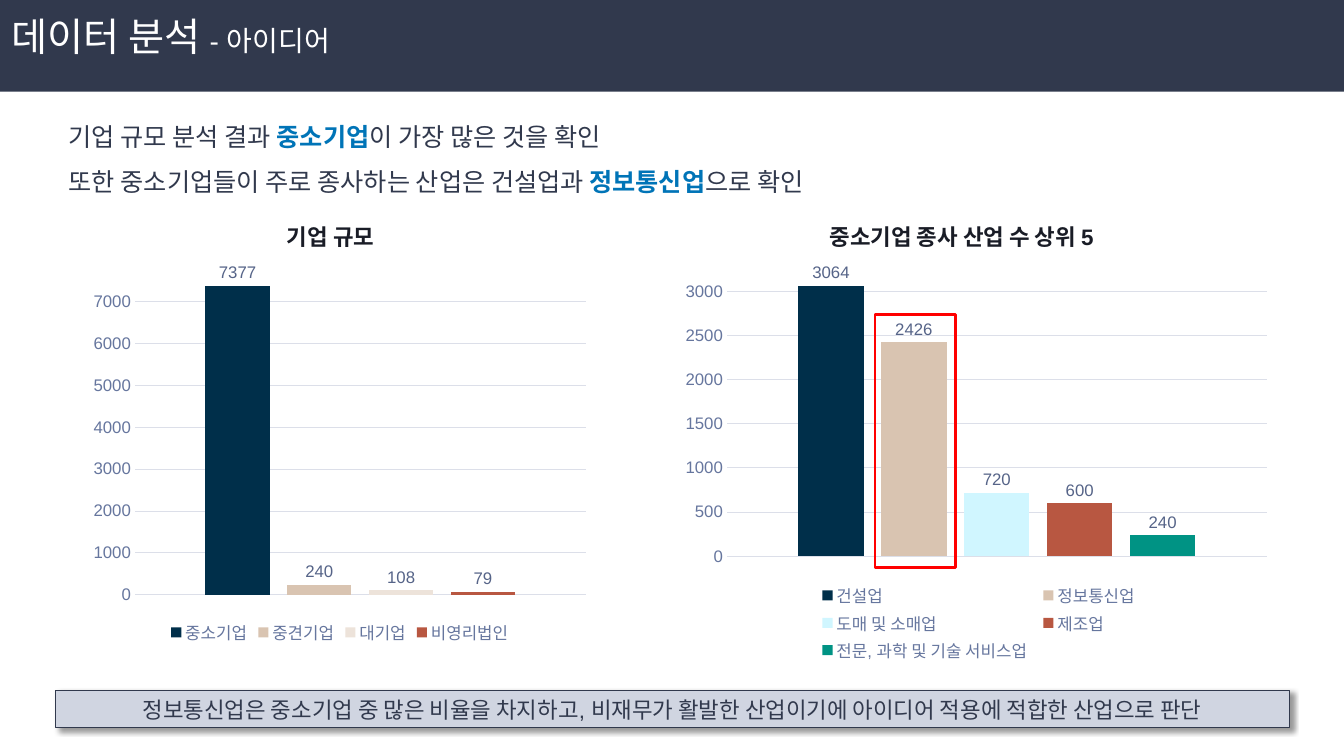
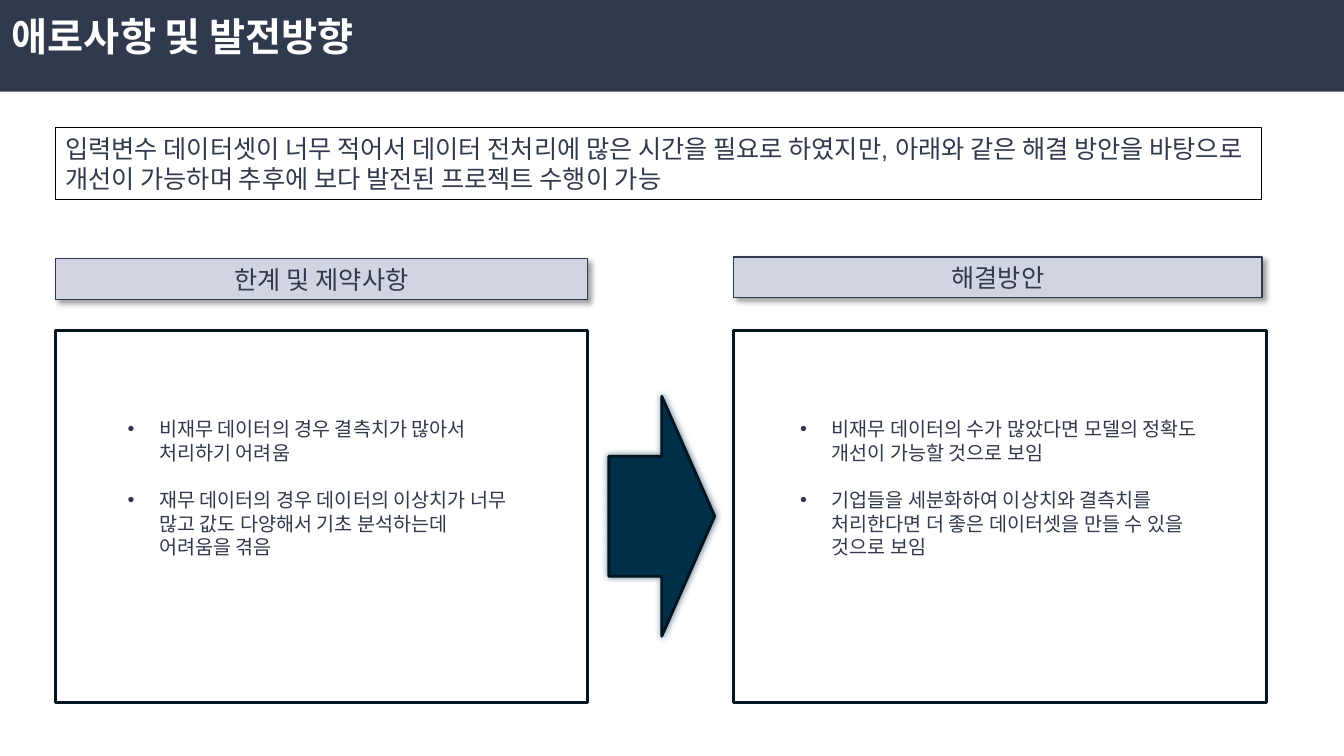
from dataclasses import dataclass

from lxml.etree import SubElement
from pptx import Presentation
from pptx.chart.data import CategoryChartData
from pptx.dml.color import RGBColor
from pptx.enum.chart import XL_CHART_TYPE as ChartType
from pptx.enum.chart import XL_LABEL_POSITION as LabelPosition
from pptx.enum.chart import XL_LEGEND_POSITION as LegendPosition
from pptx.enum.chart import XL_TICK_MARK as TickMark
from pptx.enum.shapes import MSO_SHAPE as Shape
from pptx.enum.text import MSO_ANCHOR as Anchor
from pptx.enum.text import PP_ALIGN as Align
from pptx.oxml.ns import qn
from pptx.util import Pt


@dataclass(frozen=True)
class Theme:
    font: str = "Arial"
    ink: str = "31394D"
    white: str = "FFFFFF"
    black: str = "000000"
    accent: str = "0074B7"
    caption: str = "191C26"
    navy: str = "002F4A"
    deep: str = "001520"
    sand: str = "D9C4B1"
    cream: str = "EDE3DA"
    ice: str = "D0F6FF"
    brick: str = "B85741"
    teal: str = "009384"
    bar: str = "D0D5E1"
    alert: str = "FF0000"
    grid: str = "DCDFE9"
    axis: str = "66769E"
    label: str = "566488"
    title_size: int = 28
    subtitle_size: int = 20
    lead_size: int = 18
    caption_size: int = 16
    bullet_size: int = 14
    chart_size: int = 12
    thin: float = 0.75
    thick: float = 2


THEME = Theme()
LEFT, RIGHT = 39.6, 524.2


def apply(target, values):
    for attribute, value in values.items():
        setattr(target, attribute, value)


def set_font(font, size, color, bold=False):
    apply(font, {"name": THEME.font, "size": Pt(size), "bold": bold})
    font.color.rgb = RGBColor.from_string(color)


def set_fill(fill, color):
    if color is None:
        fill.background()
    else:
        fill.solid()
        fill.fore_color.rgb = RGBColor.from_string(color)


def set_line(line, color, width):
    set_fill(line.fill, color)
    if color is not None:
        line.width = Pt(width)


def write(shape, paragraphs, anchor=Anchor.TOP, margin=None, **paragraph_format):
    frame = shape.text_frame
    apply(frame, {"word_wrap": True, "vertical_anchor": anchor})
    if margin is not None:
        sides = ("left", "top", "right", "bottom")
        apply(frame, {f"margin_{side}": Pt(margin) for side in sides})
    for index, runs in enumerate(paragraphs):
        paragraph = frame.add_paragraph() if index else frame.paragraphs[0]
        apply(paragraph, {"alignment": Align.LEFT, **paragraph_format})
        for text, *style in runs:
            run = paragraph.add_run()
            run.text = text
            set_font(run.font, *style)
    return frame


def add_text(slide, box, paragraphs, **options):
    return write(slide.shapes.add_textbox(*map(Pt, box)), paragraphs, **options)


def add_box(slide, box, fill=None, line=None, width=THEME.thin, kind=Shape.RECTANGLE):
    shape = slide.shapes.add_shape(kind, *map(Pt, box))
    shape.shadow.inherit = False
    set_fill(shape.fill, fill)
    set_line(shape.line, line, width)
    return shape


def add_shadow(shape, color, opacity, blur, distance):
    effects = shape._element.spPr.find(qn("a:effectLst"))
    shadow = SubElement(effects, qn("a:outerShdw"), blurRad=str(Pt(blur)),
                        dist=str(Pt(distance)), dir=str(45 * 60000),
                        algn="ctr", rotWithShape="0")
    tint = SubElement(shadow, qn("a:srgbClr"), val=color)
    SubElement(tint, qn("a:alpha"), val=str(opacity * 1000))


def add_shadow_bar(slide, box, text, size):
    bar = add_box(slide, box, THEME.bar, THEME.ink)
    add_shadow(bar, THEME.black, 40, 4, 3)
    write(bar, [[(text, size, THEME.ink)]], Anchor.MIDDLE, alignment=Align.CENTER)


def add_bullets(slide, box, items):
    frame = add_text(slide, box,
                     [[(item, THEME.bullet_size, THEME.ink)] for item in items])
    for index, paragraph in enumerate(frame.paragraphs):
        if index:
            paragraph.space_before = Pt(17)
        properties = paragraph._p.get_or_add_pPr()
        properties.set("marL", str(Pt(22.5)))
        properties.set("indent", str(Pt(-22.5)))
        SubElement(properties, qn("a:buFont"), typeface=THEME.font)
        SubElement(properties, qn("a:buChar"), char="•")


def place_in_chart(parent, index, fractions, inner=False):
    for old in parent.findall(qn("c:layout")):
        parent.remove(old)
    layout = SubElement(parent, qn("c:layout"))
    parent.insert(index, layout)
    manual = SubElement(layout, qn("c:manualLayout"))
    if inner:
        SubElement(manual, qn("c:layoutTarget"), val="inner")
    for axis in "xy":
        SubElement(manual, qn(f"c:{axis}Mode"), val="edge")
    for name, value in zip("xywh", fractions):
        SubElement(manual, qn(f"c:{name}"), val=str(value))


def add_columns(slide, box, series, top, step, plot_area, legend_area):
    data = CategoryChartData()
    data.categories = ["1"]
    for name, value, _ in series:
        data.add_series(name, [value])
    chart = slide.shapes.add_chart(
        ChartType.COLUMN_CLUSTERED, *map(Pt, box), data).chart
    apply(chart, {"has_title": False, "has_legend": True})
    set_font(chart.font, THEME.chart_size, THEME.ink)
    apply(chart.legend, {"position": LegendPosition.BOTTOM,
                         "include_in_layout": False})
    set_font(chart.legend.font, THEME.chart_size, THEME.axis)
    chart.category_axis.visible = False

    scale = chart.value_axis
    apply(scale, {"minimum_scale": 0, "maximum_scale": top, "major_unit": step,
                  "major_tick_mark": TickMark.NONE,
                  "minor_tick_mark": TickMark.NONE})
    set_font(scale.tick_labels.font, THEME.chart_size, THEME.axis)
    set_line(scale.format.line, None, 0)
    set_line(scale.major_gridlines.format.line, THEME.grid, THEME.thin)

    plot = chart.plots[0]
    apply(plot, {"gap_width": 219, "overlap": -27, "vary_by_categories": False})
    for column, (_, _, color) in zip(plot.series, series):
        set_fill(column.format.fill, color)
        column.invert_if_negative = False
        labels = column.data_labels
        apply(labels, {"show_value": True, "position": LabelPosition.OUTSIDE_END})
        set_font(labels.font, THEME.chart_size, THEME.label)
    place_in_chart(chart._chartSpace.chart.plotArea, 0, plot_area, inner=True)
    place_in_chart(chart.legend._element, 1, legend_area)


def add_slide(deck, title):
    slide = deck.slides.add_slide(deck.slide_layouts[6])
    add_box(slide, (0, 0, 960, 65.5), THEME.ink)
    add_text(slide, (1.5, 1.5, 894, 65.5), [title], margin=7.2)
    return slide


def add_chart_caption(slide, left, text):
    add_text(slide, (left, 156.2, 318.2, 26.6),
             [[(text, THEME.caption_size, THEME.caption, True)]],
             alignment=Align.CENTER)


def build_analysis(deck):
    slide = add_slide(deck, [("데이터 분석 ", THEME.title_size, THEME.white),
                             ("- 아이디어", THEME.subtitle_size, THEME.white)])
    plain = (THEME.lead_size, THEME.ink)
    strong = (THEME.lead_size, THEME.accent, True)
    add_text(slide, (42, 72, 836, 68.4), [
        [("기업 규모 분석 결과 ", *plain), ("중소기업", *strong),
         ("이 가장 많은 것을 확인", *plain)],
        [("또한 중소기업들이 주로 종사하는 산업은 건설업과 ", *plain),
         ("정보통신업", *strong), ("으로 확인", *plain)],
    ], line_spacing=1.5)

    company_sizes = [("중소기업", 7377, THEME.navy), ("중견기업", 240, THEME.sand),
                     ("대기업", 108, THEME.cream), ("비영리법인", 79, THEME.brick)]
    add_columns(slide, (59.8, 188.6, 365.8, 278), company_sizes, 7500, 1000,
                (0.1, 0.04, 0.88, 0.81), (0.16, 0.92, 0.68, 0.07))
    add_chart_caption(slide, 77, "기업 규모")

    industries = [("건설업", 3064, THEME.navy), ("정보통신업", 2426, THEME.sand),
                  ("도매 및 소매업", 720, THEME.ice), ("제조업", 600, THEME.brick),
                  ("전문, 과학 및 기술 서비스업", 240, THEME.teal)]
    add_columns(slide, (480.2, 188.6, 433.4, 289.4), industries, 3100, 500,
                (0.09, 0.04, 0.89, 0.68), (0.23, 0.78, 0.55, 0.21))
    add_chart_caption(slide, 527.8, "중소기업 종사 산업 수 상위 5")
    add_box(slide, (625, 224.6, 57.6, 180.7), line=THEME.alert, width=THEME.thick)
    add_shadow_bar(slide, (LEFT, 493.2, 881.3, 26.6),
                   "정보통신업은 중소기업 중 많은 비율을 차지하고, 비재무가 활발한 "
                   "산업이기에 아이디어 적용에 적합한 산업으로 판단",
                   THEME.caption_size)


def build_outlook(deck):
    slide = add_slide(
        deck, [("애로사항 및 발전방향", THEME.title_size, THEME.white, True)])
    summary = add_box(slide, (LEFT, 91.4, 861.8, 51.1), line=THEME.black)
    write(summary, [[(
        "입력변수 데이터셋이 너무 적어서 데이터 전처리에 많은 시간을 필요로 "
        "하였지만, 아래와 같은 해결 방안을 바탕으로 개선이 가능하며 추후에 보다 "
        "발전된 프로젝트 수행이 가능", THEME.lead_size, THEME.ink)]], Anchor.MIDDLE)

    columns = [
        ("한계 및 제약사항", (LEFT, 185, 380.2, 28.8), (84.2, 294.5, 292.3, 108.7),
         ["비재무 데이터의 경우 결측치가 많아서 처리하기 어려움",
          "재무 데이터의 경우 데이터의 이상치가 너무 많고 값도 다양해서 "
          "기초 분석하는데 어려움을 겪음"]),
        ("해결방안", (RIGHT, 183.6, 377.3, 28.8), (564.5, 294.5, 300.2, 108.7),
         ["비재무 데이터의 수가 많았다면 모델의 정확도 개선이 가능할 것으로 보임",
          "기업들을 세분화하여 이상치와 결측치를 처리한다면 더 좋은 데이터셋을 "
          "만들 수 있을 것으로 보임"]),
    ]
    for heading, heading_box, list_box, items in columns:
        add_shadow_bar(slide, heading_box, heading, THEME.lead_size)
        add_box(slide, (heading_box[0], 236.2, 380.2, 265.7),
                line=THEME.deep, width=THEME.thick)
        add_bullets(slide, list_box, items)
    arrow = add_box(slide, (434.9, 283, 75.6, 171.4), THEME.navy, THEME.deep,
                    THEME.thick, Shape.RIGHT_ARROW)
    add_shadow(arrow, THEME.navy, 60, 5, 0)


def main():
    deck = Presentation()
    apply(deck, {"slide_width": Pt(960), "slide_height": Pt(540)})
    build_analysis(deck)
    build_outlook(deck)
    deck.save("out.pptx")


if __name__ == "__main__":
    main()
